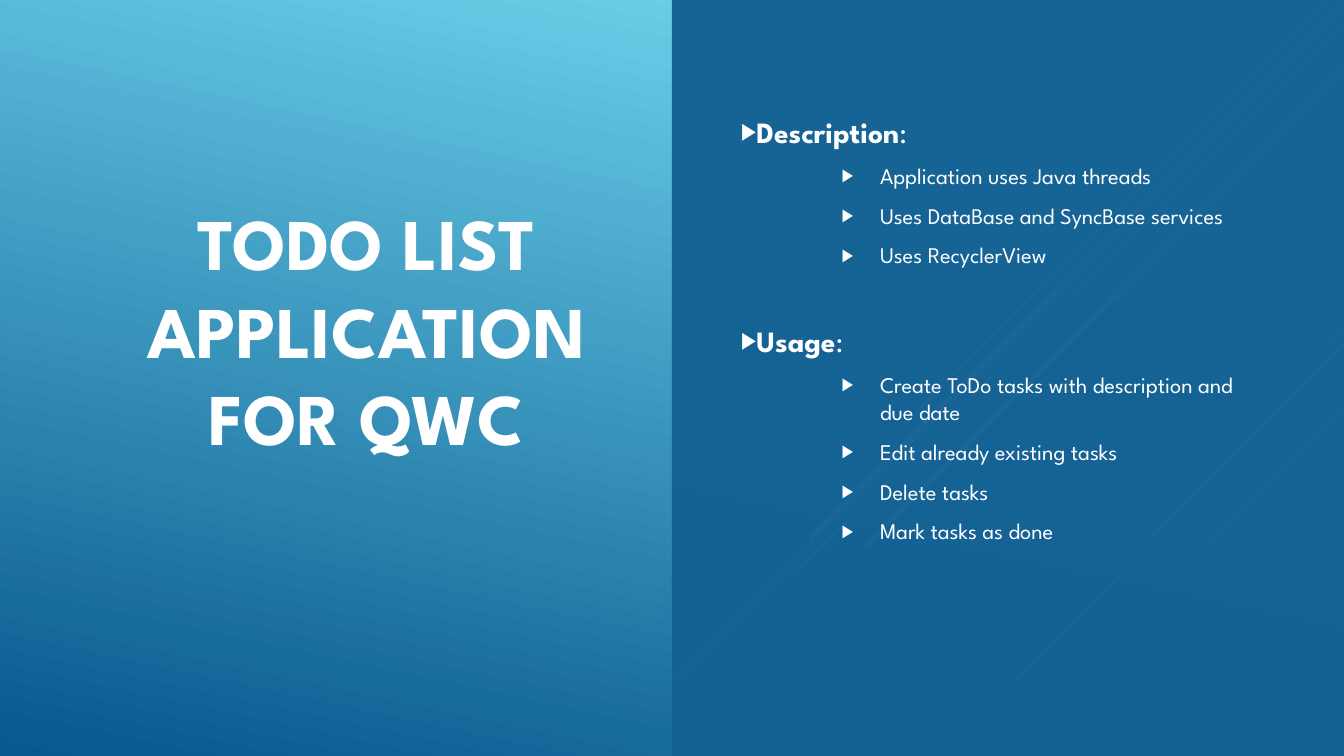
from lxml.etree import SubElement
from pptx import Presentation
from pptx.dml.color import RGBColor
from pptx.enum.shapes import MSO_CONNECTOR, MSO_SHAPE
from pptx.enum.text import MSO_ANCHOR, PP_ALIGN
from pptx.oxml.ns import qn
from pptx.util import Inches, Pt

FONT = "League Spartan"
COLORS = {"white": "FFFFFF", "panel": "146194", "sky": "6ED2EB", "deep": "06588E"}
WIDE, HIGH = 13.33, 7.5
RAYS = [
    (13.16, 0.01, 4.17, 1),
    (WIDE, 0.1, 6.65, 1),
    (WIDE, 0.25, 5.42, 1),
    (WIDE, 0.04, 5.3, 2.5),
    (WIDE, 0.67, 4.75, 2.5),
    (WIDE, 3.24, 1, 0.75),
    (WIDE, 3.49, 3.26, 0.75),
    (WIDE, 3.59, 2.07, 0.75),
    (WIDE, 3.42, 1.91, 2.25),
    (WIDE, 4.03, 1.39, 2.25),
]
TOPICS = [
    ("Description", [
        "Application uses Java threads",
        "Uses DataBase and SyncBase services",
        "Uses RecyclerView",
    ]),
    ("Usage", [
        "Create ToDo tasks with description and due date",
        "Edit already existing tasks",
        "Delete tasks",
        "Mark tasks as done",
    ]),
]


def color(name):
    return RGBColor.from_string(COLORS[name])


def paint_back(slide):
    fill = slide.background.fill
    fill.gradient()
    fill.gradient_angle = 258
    for stop, (name, place) in zip(fill.gradient_stops, [("sky", 0.1), ("deep", 1)]):
        stop.color.rgb = color(name)
        stop.position = place


def draw_rays(slide):
    for x, y, span, width in RAYS:
        ray = slide.shapes.add_connector(
            MSO_CONNECTOR.STRAIGHT,
            Inches(x), Inches(y), Inches(x - span), Inches(y + span))
        ray.line.color.rgb = color("white")
        ray.line.width = Pt(width)
        SubElement(ray._element.spPr, qn("a:effectLst"))


def draw_panel(slide, box):
    panel = slide.shapes.add_shape(MSO_SHAPE.RECTANGLE, *map(Inches, box))
    panel.shadow.inherit = False
    panel.line.fill.background()
    panel.fill.solid()
    panel.fill.fore_color.rgb = color("panel")
    tint = panel._element.spPr.find(qn("a:solidFill"))[0]
    SubElement(tint, qn("a:alpha"), val="97000")


def add_frame(slide, box):
    frame = slide.shapes.add_textbox(*map(Inches, box)).text_frame
    frame.word_wrap = True
    frame.vertical_anchor = MSO_ANCHOR.MIDDLE
    return frame


def style(para, size, bold=None):
    font = para.font
    font.name = FONT
    font.size = Pt(size)
    font.bold = bold
    font.color.rgb = color("white")


def add_title(slide, box):
    para = add_frame(slide, box).paragraphs[0]
    para.text = "TODO LIST APPLICATION\vFOR QWC"
    para.alignment = PP_ALIGN.CENTER
    style(para, 52, True)


def set_bullet(para, left, indent):
    props = para._p.get_or_add_pPr()
    props.set("marL", str(Inches(left)))
    props.set("indent", str(Inches(indent)))
    marks = []
    tint = SubElement(props, qn("a:buClr"))
    SubElement(tint, qn("a:srgbClr"), val=COLORS["white"])
    marks.append(tint)
    marks.append(SubElement(props, qn("a:buSzPct"), val="80000"))
    marks.append(SubElement(props, qn("a:buFont"), typeface="Arial"))
    marks.append(SubElement(props, qn("a:buChar"), char="▶"))
    base = props.find(qn("a:defRPr"))
    if base is not None:
        for mark in marks:
            base.addprevious(mark)


def add_topics(slide, box):
    frame = add_frame(slide, box)
    for index, (name, items) in enumerate(TOPICS):
        head = frame.add_paragraph() if index else frame.paragraphs[0]
        head.add_run().text = name
        head.runs[0].font.bold = True
        head.add_run().text = ":"
        style(head, 21)
        head.space_before = Pt(33 if index else 4.2)
        head.space_after = Pt(6)
        set_bullet(head, 0, 0)
        for text in items:
            item = frame.add_paragraph()
            item.text = text
            item.level = 1
            style(item, 16)
            item.space_before = Pt(3.2)
            item.space_after = Pt(6)
            set_bullet(item, 1.38, -0.38)


def main():
    deck = Presentation()
    deck.slide_width, deck.slide_height = Inches(WIDE), Inches(HIGH)
    slide = deck.slides.add_slide(deck.slide_layouts[6])
    paint_back(slide)
    draw_rays(slide)
    add_title(slide, (0.7, 0.75, 5.87, 5.03))
    draw_panel(slide, (WIDE / 2, 0, WIDE / 2, HIGH))
    add_topics(slide, (7.25, 0.75, 5.34, 5.03))
    deck.save("out.pptx")


if __name__ == "__main__":
    main()
